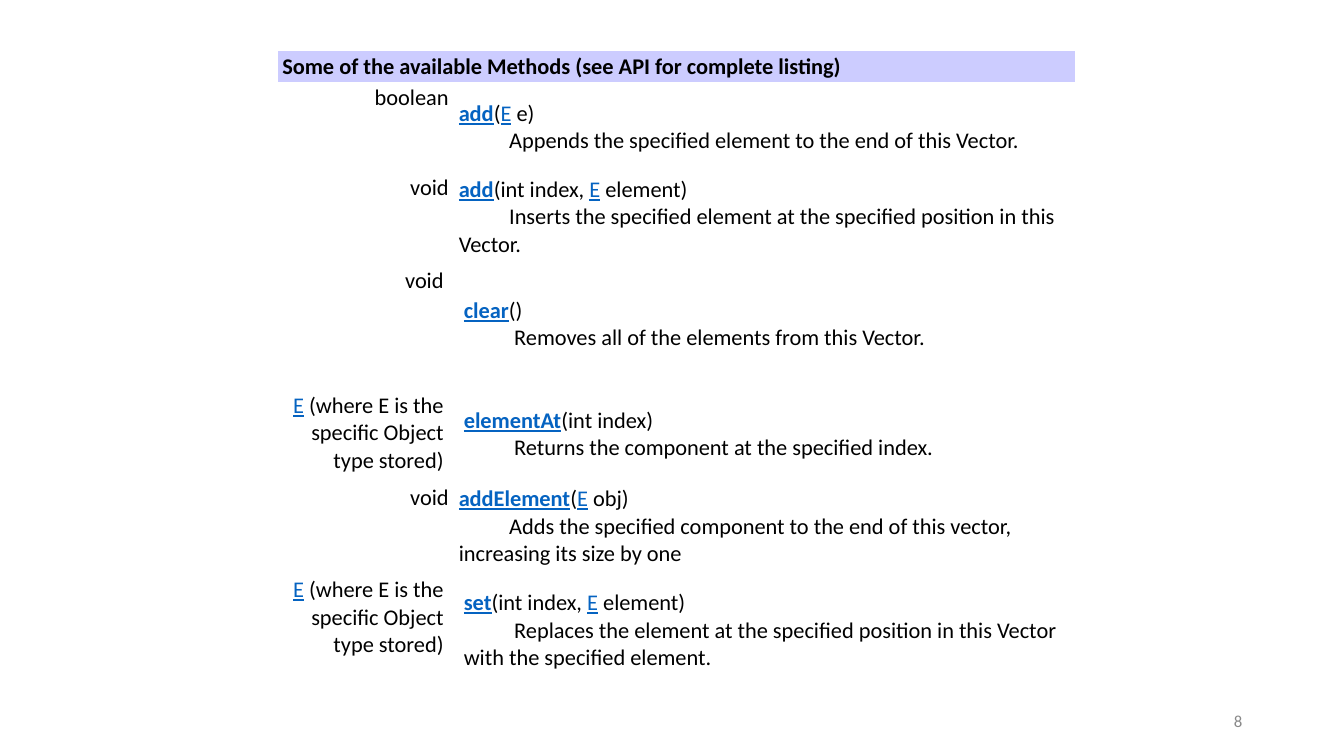
from pptx import Presentation
from pptx.dml.color import RGBColor as RGB
from pptx.enum.text import MSO_ANCHOR as Anchor, PP_ALIGN as Align
from pptx.util import Inches, Pt

BLACK = RGB(0x00, 0x00, 0x00)
WHITE = RGB(0xFF, 0xFF, 0xFF)
LILAC = RGB(0xCC, 0xCC, 0xFF)
BLUE = RGB(0x05, 0x63, 0xC1)
GREY = RGB(0x89, 0x89, 0x89)

TIGHT = (0.05, 0.02)
WIDE = (0.1, 0.05)
ITEM = "E (where E is the specific Object type stored)"

# Return type, signature, meaning, row height, cell margins
METHODS = [
    ("boolean", "add(E e)",
     "Appends the specified element to the end of this Vector.", 0.89, TIGHT),
    ("void", "add(int index, E element)",
     "Inserts the specified element at the specified position in this Vector.",
     0.89, TIGHT),
    ("void", "clear()",
     "Removes all of the elements from this Vector.", 1.24, WIDE),
    (ITEM, "elementAt(int index)",
     "Returns the component at the specified index.", 0.94, WIDE),
    ("void", "addElement(E obj)",
     "Adds the specified component to the end of this vector, "
     "increasing its size by one", 0.89, TIGHT),
    (ITEM, "set(int index, E element)",
     "Replaces the element at the specified position in this Vector "
     "with the specified element.", 1.17, WIDE),
]


class Page:
    def __init__(self, slide, font="Calibri", size=16):
        self.slide, self.font, self.size = slide, font, size

    def style(self, run, color=BLACK, bold=False, line=False, size=None):
        font = run.font
        font.name, font.size = self.font, Pt(size or self.size)
        font.bold, font.underline = bold, line
        font.color.rgb = color

    def add_run(self, par, text, **look):
        if text:
            run = par.add_run()
            run.text = text
            self.style(run, **look)

    def typed(self, par, text):
        """Write text with its first type name E shown as a link."""
        start, name, rest = text.partition("E")
        self.add_run(par, start)
        self.add_run(par, name, color=BLUE, line=True)
        self.add_run(par, rest)

    def cell(self, cell, fill, pad, anchor):
        cell.fill.solid()
        cell.fill.fore_color.rgb = fill
        cell.margin_left = cell.margin_right = Inches(pad[0])
        cell.margin_top = cell.margin_bottom = Inches(pad[1])
        cell.vertical_anchor = anchor
        return cell.text_frame

    def method(self, row, kind, call, note, pad):
        par = self.cell(row.cells[0], WHITE, pad, Anchor.TOP).paragraphs[0]
        par.alignment = Align.RIGHT
        self.typed(par, kind)

        frame = self.cell(row.cells[1], WHITE, pad, Anchor.MIDDLE)
        par = frame.paragraphs[0]
        name, mark, args = call.partition("(")
        self.add_run(par, name, color=BLUE, bold=True, line=True)
        self.typed(par, mark + args)
        par = frame.add_paragraph()
        par._p.get_or_add_pPr().set("indent", str(Inches(0.5)))
        self.add_run(par, note)

    def table(self, title, items, left, top, widths):
        heights = [0.32] + [item[3] for item in items]
        grid = self.slide.shapes.add_table(
            len(heights), len(widths), Inches(left), Inches(top),
            Inches(sum(widths)), Inches(sum(heights))).table
        grid.first_row = grid.horz_banding = False
        for col, width in zip(grid.columns, widths):
            col.width = Inches(width)
        for row, height in zip(grid.rows, heights):
            row.height = Inches(height)

        # Heading across both columns
        head = grid.cell(0, 0)
        head.merge(grid.cell(0, 1))
        frame = self.cell(head, LILAC, TIGHT, Anchor.MIDDLE)
        self.add_run(frame.paragraphs[0], title, bold=True)

        # One row for each method
        for i, (kind, call, note, _, pad) in enumerate(items, 1):
            self.method(grid.rows[i], kind, call, note, pad)

    def number(self, text, left, top, width, height):
        box = self.slide.shapes.add_textbox(*map(Inches, (left, top, width, height)))
        frame = box.text_frame
        frame.word_wrap = True
        frame.vertical_anchor = Anchor.MIDDLE
        frame.text = text
        par = frame.paragraphs[0]
        par.alignment = Align.RIGHT
        self.style(par.runs[0], color=GREY, size=12)


def main():
    deck = Presentation()
    deck.slide_width, deck.slide_height = Inches(13.33), Inches(7.5)
    page = Page(deck.slides.add_slide(deck.slide_layouts[6]))

    # Page number and method table
    page.number("8", 9.42, 6.95, 3, 0.4)
    page.table("Some of the available Methods (see API for complete listing)",
               METHODS, 2.75, 0.5, (1.75, 6.17))
    deck.save("out.pptx")


if __name__ == "__main__":
    main()
